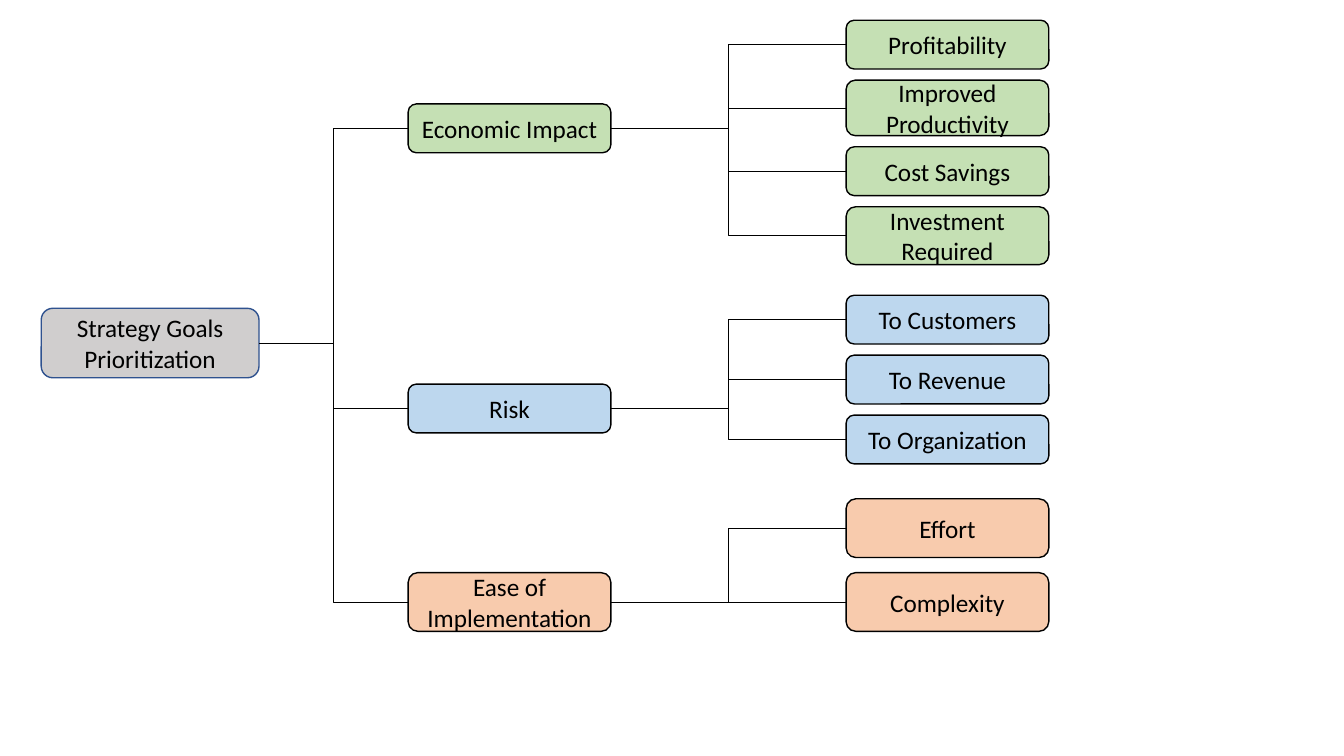
from lxml.etree import SubElement
from pptx import Presentation
from pptx.dml.color import RGBColor
from pptx.enum.shapes import MSO_CONNECTOR, MSO_SHAPE
from pptx.enum.text import MSO_ANCHOR, PP_ALIGN
from pptx.oxml.ns import qn
from pptx.util import Cm, Pt

BLACK = RGBColor(0x00, 0x00, 0x00)
NAVY = RGBColor(0x2F, 0x52, 0x8F)
GRAY = RGBColor(0xD0, 0xCE, 0xCE)
GREEN = RGBColor(0xC5, 0xE0, 0xB4)
BLUE = RGBColor(0xBD, 0xD7, 0xEE)
PEACH = RGBColor(0xF8, 0xCB, 0xAD)

# Lengths are in centimetres.
ROOT = ("Strategy Goals Prioritization", 7.77, 1.75)
# Goal (text, top, height), fill, top of first factor, gap, factors (text, height)
GOALS = [
    (("Economic Impact", 2.62, 1.23), GREEN, 0.51, 0.28,
     [("Profitability", 1.23), ("Improved Productivity", 1.4),
      ("Cost Savings", 1.23), ("Investment Required", 1.46)]),
    (("Risk", 9.68, 1.23), BLUE, 7.44, 0.28,
     [("To Customers", 1.23), ("To Revenue", 1.23), ("To Organization", 1.23)]),
    (("Ease of Implementation", 14.43, 1.48), PEACH, 12.57, 0.38,
     [("Effort", 1.48), ("Complexity", 1.48)]),
]
ROOT_COL, GOAL_COL, FACTOR_COL = (1.04, 5.49), (10.29, 5.11), (21.33, 5.11)
LEFT, RIGHT = 1, 3  # connection sites of a rounded box


def add_box(slide, col, text, top, high, fill, edge=BLACK):
    left, wide = col
    box = slide.shapes.add_shape(MSO_SHAPE.ROUNDED_RECTANGLE,
                                 Cm(left), Cm(top), Cm(wide), Cm(high))
    box.shadow.inherit = False
    box.fill.solid()
    box.fill.fore_color.rgb = fill
    box.line.color.rgb = edge
    box.line.width = Pt(1)
    frame = box.text_frame
    frame.word_wrap = True
    frame.vertical_anchor = MSO_ANCHOR.MIDDLE
    para = frame.paragraphs[0]
    para.text = text
    para.alignment = PP_ALIGN.CENTER
    para.font.name = "Calibri"
    para.font.size = Pt(18)
    para.font.color.rgb = BLACK
    return box


def link(slide, parent, child):
    line = slide.shapes.add_connector(MSO_CONNECTOR.ELBOW, 0, 0, 0, 0)
    line.begin_connect(parent, RIGHT)
    line.end_connect(child, LEFT)
    line.line.color.rgb = BLACK
    line.line.width = Pt(0.5)
    SubElement(line._element.spPr, qn("a:effectLst"))


def main():
    deck = Presentation()
    deck.slide_width, deck.slide_height = Cm(33.88), Cm(19.05)
    slide = deck.slides.add_slide(deck.slide_layouts[6])

    root = add_box(slide, ROOT_COL, *ROOT, GRAY, NAVY)
    for head, fill, top, gap, factors in GOALS:
        goal = add_box(slide, GOAL_COL, *head, fill)
        link(slide, root, goal)
        for text, high in factors:
            factor = add_box(slide, FACTOR_COL, text, top, high, fill)
            link(slide, goal, factor)
            top += high + gap

    deck.save("out.pptx")


if __name__ == "__main__":
    main()
